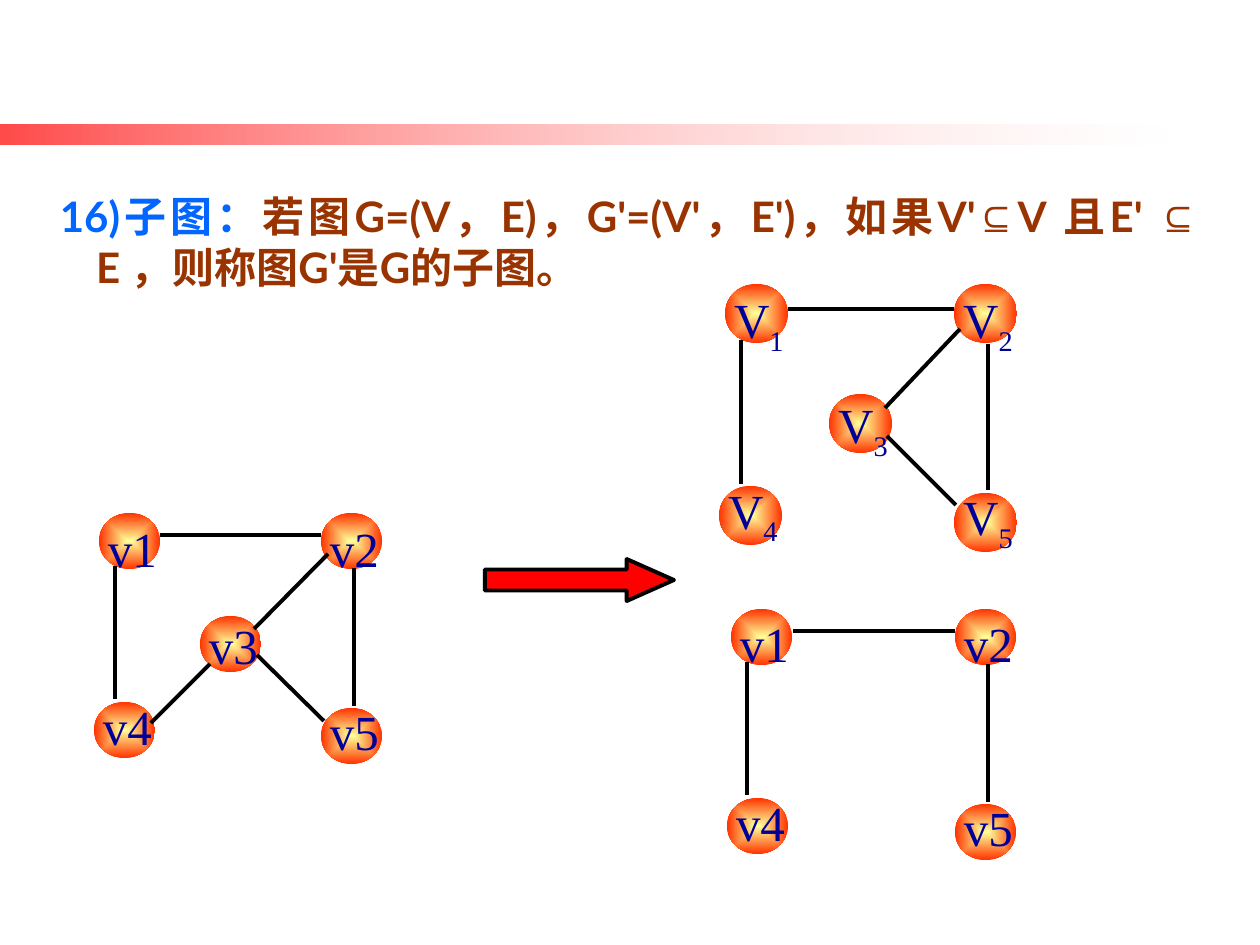
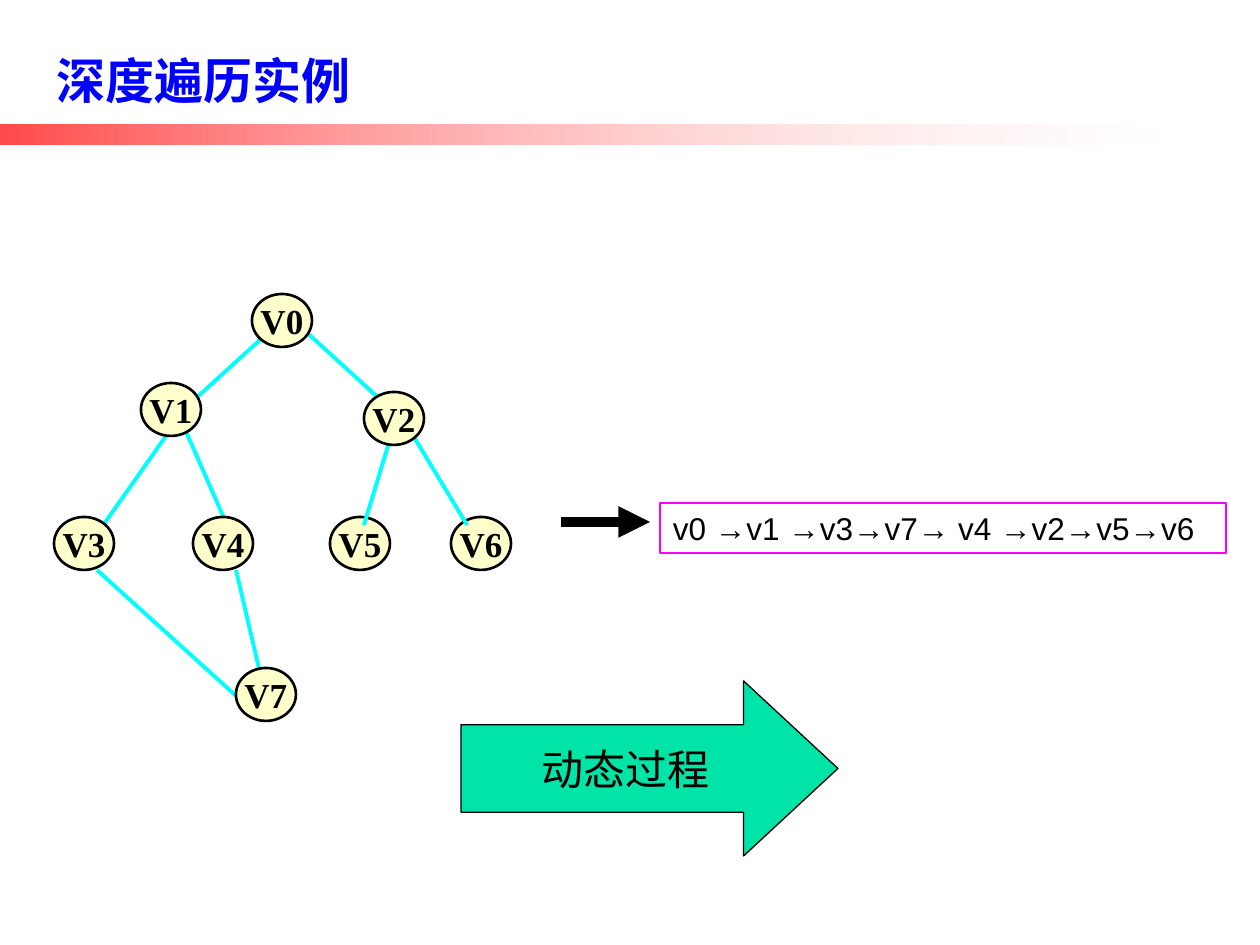
from dataclasses import dataclass

from lxml.etree import SubElement
from pptx import Presentation
from pptx.dml.color import RGBColor
from pptx.enum.shapes import MSO_CONNECTOR as CONN, MSO_SHAPE as SHAPE
from pptx.enum.text import MSO_ANCHOR as ANCHOR, MSO_AUTO_SIZE as AUTO, PP_ALIGN as ALIGN
from pptx.oxml import parse_xml
from pptx.oxml.ns import nsdecls, qn
from pptx.util import Emu, Pt

PX_PER_INCH = 126


@dataclass(frozen=True)
class Theme:
    black: str = "000000"
    title: str = "0000FF"
    term: str = "0066FF"
    body: str = "993300"
    vertex: str = "000099"
    vertex_core: str = "FFFF99"
    vertex_rim: str = "FF3300"
    band_from: str = "FFFFFF"
    band_to: str = "FF0000"
    arrow: str = "FF0000"
    tree_node: str = "FFFFCC"
    tree_edge: str = "00FFFF"
    order_frame: str = "FF00FF"
    process: str = "00E4A8"
    head_font: str = "Lato"
    plain_font: str = "Arial"
    node_font: str = "Times New Roman"
    title_size: int = 28
    body_size: int = 24
    small_size: int = 18
    vertex_size: int = 28
    tree_size: int = 20


T = Theme()
INSETS = (13, 6, 13, 6)
LABEL_INSETS = (1, 4, 0, 1)

# Vertices are (label, x, y, label offset in y); edges are (x1, y1, x2, y2).
GRAPH = {
    "size": (61, 56), "label": (52, 62),
    "nodes": [("v1", 99, 513, 1), ("v3", 200, 616, -4), ("v4", 94, 702, -9),
              ("v5", 321, 708, -10), ("v2", 321, 513, 1)],
    "edges": [(160, 535, 321, 535), (210, 664, 151, 723), (354, 568, 354, 706),
              (328, 554, 254, 629), (257, 655, 324, 721), (115, 566, 115, 699)],
}
SUBGRAPH_TOP = {
    "size": (63, 59), "label": (53, 66),
    "nodes": [("V1", 725, 284, 2), ("V3", 829, 394, -3), ("V4", 719, 486, -10),
              ("V5", 954, 493, -10), ("V2", 954, 284, 2)],
    "edges": [(788, 309, 954, 309), (988, 344, 988, 490), (960, 329, 885, 408),
              (887, 436, 956, 505), (741, 340, 741, 484)],
}
SUBGRAPH_BOTTOM = {
    "size": (61, 56), "label": (52, 62),
    "nodes": [("v1", 731, 609, 1), ("v4", 727, 798, -9),
              ("v5", 955, 804, -10), ("v2", 955, 609, 1)],
    "edges": [(793, 631, 955, 631), (988, 664, 988, 802), (747, 662, 747, 795)],
}
TREE_BACK = [("V6", 451, 517), ("V5", 330, 517)]
TREE_FRONT = [("V2", 364, 392), ("V1", 141, 383), ("V4", 193, 517),
              ("V0", 252, 294), ("V7", 236, 668), ("V3", 54, 517)]
TREE_EDGES = [(261, 339, 193, 401), (166, 436, 97, 534), (184, 427, 227, 525),
              (236, 570, 261, 677), (97, 570, 244, 703), (304, 330, 382, 401),
              (391, 436, 364, 525), (408, 427, 467, 525)]


def px(n):
    return Emu(round(n * 914400 / PX_PER_INCH))


def rgb(color):
    return RGBColor.from_string(color)


def write(sp, text, size=18, font=T.plain_font, color=T.black, bold=False,
          align=ALIGN.LEFT, anchor=ANCHOR.TOP, insets=INSETS, wrap=True,
          before=0, hanging=0):
    """Fill one paragraph; text is a string or a list of (string, overrides)."""
    tf = sp.text_frame
    tf.word_wrap = wrap
    tf.vertical_anchor = anchor
    tf.margin_left, tf.margin_top, tf.margin_right, tf.margin_bottom = map(px, insets)
    p = tf.paragraphs[0]
    p.alignment = align
    p.space_before = Pt(before)
    if hanging:
        pPr = p._p.get_or_add_pPr()
        pPr.set("marL", str(px(hanging)))
        pPr.set("indent", str(-px(hanging)))
    runs = [(text, {})] if isinstance(text, str) else text
    base = dict(size=size, font=font, color=color, bold=bold, baseline=0)
    for part, overrides in runs:
        look = {**base, **overrides}
        r = p.add_run()
        r.text = part
        r.font.size = Pt(look["size"])
        r.font.name = look["font"]
        r.font.bold = look["bold"]
        r.font.color.rgb = rgb(look["color"])
        if look["baseline"]:
            r._r.get_or_add_rPr().set("baseline", str(look["baseline"] * 1000))


def add_box(shapes, kind, box, fill=None, line=None, width=0.75, adj=()):
    sp = shapes.add_shape(kind, *map(px, box))
    sp.shadow.inherit = False
    for i, value in enumerate(adj):
        sp.adjustments[i] = value
    if fill:
        sp.fill.solid()
        sp.fill.fore_color.rgb = rgb(fill)
    else:
        sp.fill.background()
    if line:
        sp.line.color.rgb = rgb(line)
        sp.line.width = Pt(width)
    else:
        sp.line.fill.background()
    return sp


def add_text(shapes, box, text, **fmt):
    write(shapes.add_textbox(*map(px, box)), text, **fmt)


def set_gradient(sp, stops, direction):
    """Replace an empty fill; stops are (position, colour, opacity) in percent."""
    gs = "".join(
        f'<a:gs pos="{pos * 1000}"><a:srgbClr val="{color}">'
        f'<a:alpha val="{alpha * 1000}"/></a:srgbClr></a:gs>'
        for pos, color, alpha in stops)
    grad = parse_xml(f'<a:gradFill {nsdecls("a")} rotWithShape="1">'
                     f'<a:gsLst>{gs}</a:gsLst>{direction}</a:gradFill>')
    spPr = sp._element.spPr
    spPr.replace(spPr.find(qn("a:noFill")), grad)


def add_line(shapes, ends, color=T.black, width=2.25, arrow=False):
    cx = shapes.add_connector(CONN.STRAIGHT, *map(px, ends))
    cx.line.color.rgb = rgb(color)
    cx.line.width = Pt(width)
    if arrow:
        SubElement(cx.line._get_or_add_ln(), qn("a:tailEnd"), type="triangle")
    SubElement(cx._element.spPr, qn("a:effectLst"))


def add_vertex(shapes, box):
    sp = add_box(shapes, SHAPE.OVAL, box)
    set_gradient(sp, [(0, T.vertex_core, 100), (100, T.vertex_rim, 100)],
                 '<a:path path="rect"><a:fillToRect l="50000" t="50000" '
                 'r="50000" b="50000"/></a:path>')


def add_graph(slide, graph, subscript=False):
    shapes = slide.shapes.add_group_shape().shapes
    for _, x, y, _ in graph["nodes"]:
        add_vertex(shapes, (x, y, *graph["size"]))
    for ends in graph["edges"]:
        add_line(shapes, ends)
    for name, x, y, dy in graph["nodes"]:
        text = [(name[0], {}), (name[1], {"baseline": -25})] if subscript else name
        add_text(shapes, (x + 7, y + dy, *graph["label"]), text,
                 size=T.vertex_size, font=T.node_font, color=T.vertex,
                 align=ALIGN.CENTER, insets=LABEL_INSETS, wrap=False)


def add_tree_nodes(shapes, nodes):
    for name, x, y in nodes:
        sp = add_box(shapes, SHAPE.OVAL, (x, y, 60, 53), T.tree_node, T.black, 1.5)
        write(sp, name, size=T.tree_size, font=T.node_font, bold=True,
              align=ALIGN.CENTER, anchor=ANCHOR.MIDDLE, wrap=False)


def add_tree(slide):
    shapes = slide.shapes.add_group_shape().shapes
    add_tree_nodes(shapes, TREE_BACK)
    for ends in TREE_EDGES:
        add_line(shapes, ends, T.tree_edge)
    add_tree_nodes(shapes, TREE_FRONT)


def new_slide(prs, title=None):
    """Add a blank slide with the fading band and, if given, a title."""
    slide = prs.slides.add_slide(prs.slide_layouts[6])
    band = add_box(slide.shapes, SHAPE.RECTANGLE, (0, 125, 1170, 20))
    set_gradient(band, [(0, T.band_from, 18), (100, T.band_to, 71)],
                 '<a:lin ang="10800000" scaled="0"/>')
    if title:
        add_text(slide.shapes, (44, 26, 1074, 89), title, size=T.title_size,
                 font=T.head_font, color=T.title, bold=True, anchor=ANCHOR.BOTTOM)
    return slide


def build_subgraph_slide(prs):
    slide = new_slide(prs)
    term, symbol = {"color": T.term}, {"font": T.plain_font}
    definition = [
        (" ", {**term, "size": T.small_size}),
        ("16)子图：", term),
        ("若图G=(V，E)，G'=(V'，E')，如果V'", {}),
        ("⊆", symbol),
        ("V 且E' ", {}),
        ("⊆", symbol),
        (" E ，则称图G'是G的子图。", {}),
    ]
    add_text(slide.shapes, (35, 185, 1177, 152), definition, size=T.body_size,
             font=T.head_font, color=T.body, bold=True, align=ALIGN.JUSTIFY,
             before=15, hanging=48)
    add_graph(slide, GRAPH)
    add_box(slide.shapes, SHAPE.RIGHT_ARROW, (485, 559, 189, 42), T.arrow,
            T.black, 2.25, adj=(0.5, 1.125))
    add_graph(slide, SUBGRAPH_TOP, subscript=True)
    add_graph(slide, SUBGRAPH_BOTTOM)


def build_traversal_slide(prs):
    slide = new_slide(prs, "深度遍历实例")
    order = add_box(slide.shapes, SHAPE.RECTANGLE, (660, 503, 566, 50),
                    line=T.order_frame)
    write(order, "v0 →v1 →v3→v7→ v4 →v2→v5→v6", size=T.small_size, before=11.2)
    order.text_frame.auto_size = AUTO.SHAPE_TO_FIT_TEXT
    add_line(slide.shapes, (561, 522, 650, 522), width=6, arrow=True)
    process = add_box(slide.shapes, SHAPE.RIGHT_ARROW, (461, 681, 377, 175),
                      T.process, T.black, adj=(0.5, 0.539))
    write(process, "动态过程", size=T.body_size, align=ALIGN.CENTER,
          anchor=ANCHOR.MIDDLE, wrap=False)
    add_tree(slide)


def main():
    prs = Presentation()
    prs.slide_width, prs.slide_height = px(1260), px(945)
    build_subgraph_slide(prs)
    build_traversal_slide(prs)
    prs.save("out.pptx")


if __name__ == "__main__":
    main()
